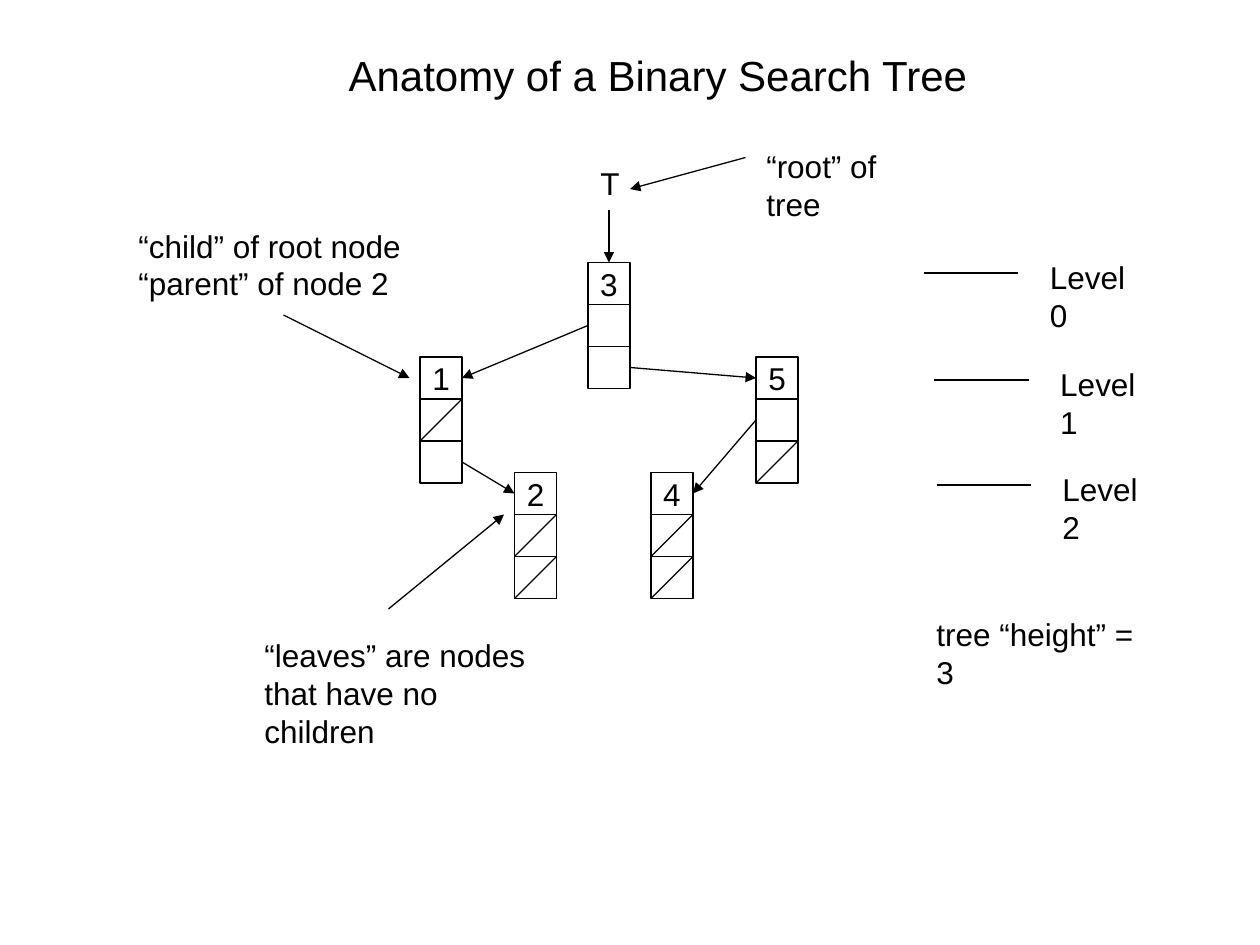
from pptx import Presentation
from pptx.dml.color import RGBColor
from pptx.enum.shapes import MSO_CONNECTOR, MSO_SHAPE
from pptx.enum.text import MSO_ANCHOR, MSO_AUTO_SIZE, PP_ALIGN
from pptx.oxml.ns import qn
from pptx.util import Pt
from lxml import etree

PX = 7620
CELL = 40
BLACK = RGBColor(0, 0, 0)
RECT = MSO_SHAPE.RECTANGLE
LINE = MSO_CONNECTOR.STRAIGHT
GROW = MSO_AUTO_SIZE.SHAPE_TO_FIT_TEXT
TOP, MIDDLE = MSO_ANCHOR.TOP, MSO_ANCHOR.MIDDLE
LEFT, CENTER = PP_ALIGN.LEFT, PP_ALIGN.CENTER

NODES = [
    ("2", 490, 450, (True, True)),
    ("1", 400, 340, (True, False)),
    ("3", 560, 250, (False, False)),
    ("5", 720, 340, (False, True)),
    ("4", 620, 450, (True, True)),
]
LINKS = [
    ("3", 1, "1", 3),
    ("3", 2, "5", 1),
    ("1", 2, "2", 1),
    ("5", 1, "4", 3),
]
NOTES = [
    ("T", 560, 150, 42, 48),
    ("“root” of tree", 718, 134, 188, 48),
    ("“child” of root node\n“parent” of node 2", 120, 210, 274, 84),
    ("“leaves” are nodes\nthat have no children", 240, 600, 302, 84),
    ("tree “height” = 3", 880, 580, 236, 48),
]
ARROWS = [
    (710, 150, 600, 180),
    (270, 300, 390, 360),
    (370, 580, 480, 490),
]
LEVELS = [(880, 260), (890, 362), (892, 462)]


def scale(*sizes):
    return [size * PX for size in sizes]


def set_text(shape, text, size=18, align=LEFT, anchor=TOP):
    frame = shape.text_frame
    frame.text = text
    frame.word_wrap = False
    frame.vertical_anchor = anchor
    for para in frame.paragraphs:
        para.alignment = align
        for run in para.runs:
            run.font.name = "Arial"
            run.font.size = Pt(size)
            run.font.color.rgb = BLACK


def add_note(slide, text, *box):
    note = slide.shapes.add_textbox(*scale(*box))
    set_text(note, text)
    note.text_frame.auto_size = GROW


def add_line(slide, x1, y1, x2, y2, arrow=False):
    line = slide.shapes.add_connector(LINE, *scale(x1, y1, x2, y2))
    line.line.color.rgb = BLACK
    line.line.width = Pt(0.75)
    if arrow:
        etree.SubElement(line.line._get_or_add_ln(), qn("a:tailEnd"), type="triangle")
    etree.SubElement(line._element.spPr, qn("a:effectLst"))
    return line


def add_cell(slide, x, y, text=""):
    cell = slide.shapes.add_shape(RECT, *scale(x, y, CELL, CELL))
    cell.shadow.inherit = False
    cell.fill.background()
    cell.line.color.rgb = BLACK
    cell.line.width = Pt(0.75)
    set_text(cell, text, align=CENTER, anchor=MIDDLE)
    return cell


def add_node(slide, key, x, y, nulls):
    cells = [add_cell(slide, x, y, key)]
    for row, null in enumerate(nulls, 1):
        top = y + row * CELL
        cells.append(add_cell(slide, x, top))
        if null:
            add_line(slide, x, top + CELL, x + CELL, top)
    return cells


def add_link(slide, start, end, side):
    link = add_line(slide, 0, 0, 0, 0, True)
    link.begin_connect(start, 4 - side)
    link.end_connect(end, side)


def add_title(slide, text):
    title = slide.shapes.title
    title.left, title.top, title.width, title.height = scale(320, 41, 616, 60)
    set_text(title, text, 24)
    title.text_frame.auto_size = GROW


def main():
    deck = Presentation()
    deck.slide_width, deck.slide_height = scale(1200, 900)
    slide = deck.slides.add_slide(deck.slide_layouts[5])
    add_title(slide, "Anatomy of a Binary Search Tree")

    tree = {node[0]: add_node(slide, *node) for node in NODES}
    for start, row, end, side in LINKS:
        add_link(slide, tree[start][row], tree[end][0], side)

    for note in NOTES:
        add_note(slide, *note)
    for ends in ARROWS:
        add_line(slide, *ends, True)
    root = add_line(slide, 580, 200, 580, 250, True)
    root.end_connect(tree["3"][0], 0)

    for depth, (x, y) in enumerate(LEVELS):
        add_line(slide, x, y, x + 90, y)
        add_note(slide, f"Level {depth}", x + 108, y - 20, 120, 48)

    deck.save("out.pptx")


if __name__ == "__main__":
    main()
